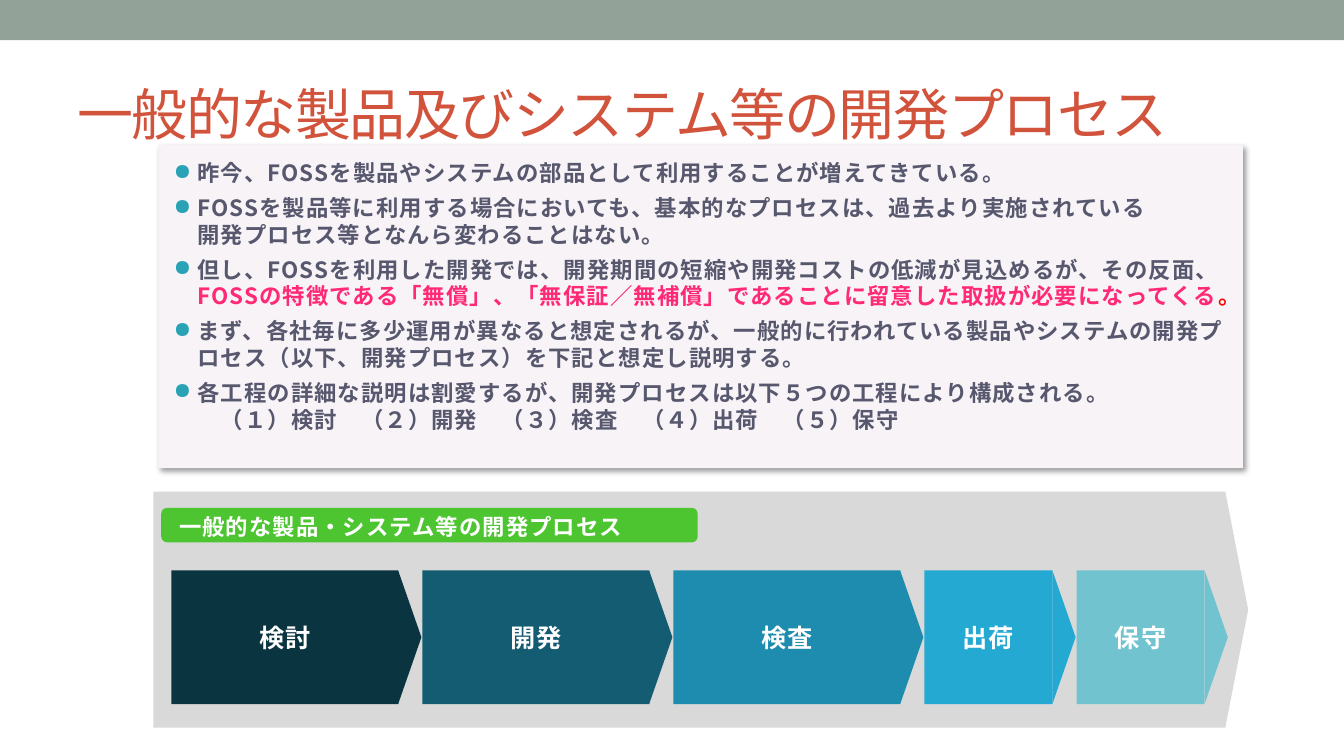
"""Build a slide on the general product and system development process."""
from lxml import etree
from pptx import Presentation
from pptx.dml.color import RGBColor
from pptx.enum.lang import MSO_LANGUAGE_ID
from pptx.enum.shapes import MSO_SHAPE
from pptx.enum.text import MSO_ANCHOR, PP_ALIGN
from pptx.oxml.ns import qn
from pptx.util import Pt

RECT, ROUNDED = MSO_SHAPE.RECTANGLE, MSO_SHAPE.ROUNDED_RECTANGLE
PENTAGON, TRIANGLE = MSO_SHAPE.PENTAGON, MSO_SHAPE.ISOSCELES_TRIANGLE
TOP, MIDDLE = MSO_ANCHOR.TOP, MSO_ANCHOR.MIDDLE
LEFT, CENTER = PP_ALIGN.LEFT, PP_ALIGN.CENTER
JAPANESE = MSO_LANGUAGE_ID.JAPANESE

SAGE = RGBColor(0x93, 0xA2, 0x99)
RUST = RGBColor(0xD2, 0x53, 0x3C)
GREY = RGBColor(0xD9, 0xD9, 0xD9)
PALE = RGBColor(0xF7, 0xF3, 0xF7)
SLATE = RGBColor(0x57, 0x57, 0x6E)
PINK = RGBColor(0xFF, 0x29, 0x75)
RED = RGBColor(0xFF, 0, 0)
GREEN = RGBColor(0x4D, 0xC5, 0x31)
WHITE = RGBColor(0xFF, 0xFF, 0xFF)
BULLET = "29A2B5"
HEAD_FONT, BODY_FONT = "Arial", "Noto Sans CJK JP"

TITLE = "一般的な製品及びシステム等の開発プロセス"
BANNER = "一般的な製品・システム等の開発プロセス"
POINTS = [
    [("昨今、FOSSを製品やシステムの部品として利用することが増えてきている。", SLATE)],
    [("FOSSを製品等に利用する場合においても、基本的なプロセスは、過去より実施されている\n"
      "開発プロセス等となんら変わることはない。", SLATE)],
    [("但し、FOSSを利用した開発では、開発期間の短縮や開発コストの低減が見込めるが、その反面、", SLATE),
     ("FOSSの特徴である「無償」、「無保証／無補償」であることに留意した取扱が必要になってくる", PINK),
     ("。", RED)],
    [("まず、各社毎に多少運用が異なると想定されるが、一般的に行われている製品やシステムの開発"
      "プロセス（以下、開発プロセス）を下記と想定し説明する。", SLATE)],
    [("各工程の詳細な説明は割愛するが、開発プロセスは以下５つの工程により構成される。\n"
      "　（１）検討　（２）開発　（３）検査　（４）出荷　（５）保守", SLATE)],
]
WIDE, NARROW = 162, 91.4
STAGES = [
    ("検討", WIDE, RGBColor(0x0B, 0x34, 0x41)),
    ("開発", WIDE, RGBColor(0x14, 0x5C, 0x72)),
    ("検査", WIDE, RGBColor(0x1E, 0x8C, 0xAE)),
    ("出荷", NARROW, RGBColor(0x24, 0xA9, 0xD2)),
    ("保守", NARROW, RGBColor(0x72, 0xC3, 0xD0)),
]
STAGE_LEFT, STAGE_TOP, STAGE_HEIGHT = 122.4, 407.5, 95.4
TIP, GAP = 16.6, 0.7


def add_block(slide, kind, left, top, width, height, color):
    block = slide.shapes.add_shape(kind, Pt(left), Pt(top), Pt(width), Pt(height))
    block.shadow.inherit = False
    block.fill.solid()
    block.fill.fore_color.rgb = color
    block.line.fill.background()
    return block


def set_frame(shape, anchor, insets):
    frame = shape.text_frame
    frame.word_wrap = True
    frame.vertical_anchor = anchor
    (frame.margin_left, frame.margin_top,
     frame.margin_right, frame.margin_bottom) = map(Pt, insets)
    return frame


def add_text(paragraph, text, size, color, font=HEAD_FONT, bold=True, spacing=80, align=LEFT):
    paragraph.alignment = align
    for index, line in enumerate(text.split("\n")):
        if index:
            paragraph.add_line_break()
        run = paragraph.add_run()
        run.text = line
        run.font.size, run.font.bold, run.font.name = Pt(size), bold, font
        run.font.color.rgb = color
        run.font.language_id = JAPANESE
        properties = run.font._element
        properties.set("spc", str(spacing))
        properties.find(qn("a:latin")).addnext(
            etree.Element(qn("a:ea"), typeface=BODY_FONT))


def add_bullet(paragraph):
    properties = paragraph._p.get_or_add_pPr()
    properties.set("marL", str(Pt(17)))
    properties.set("indent", str(-Pt(17)))
    color = etree.SubElement(properties, qn("a:buClr"))
    etree.SubElement(color, qn("a:srgbClr"), val=BULLET)
    etree.SubElement(properties, qn("a:buChar"), char="●")


def add_shadow(shape):
    effects = shape._element.spPr.find(qn("a:effectLst"))
    shadow = etree.SubElement(effects, qn("a:outerShdw"), blurRad=str(Pt(4)),
                              dist=str(Pt(3)), dir="2700000", algn="tl", rotWithShape="0")
    color = etree.SubElement(shadow, qn("a:srgbClr"), val="000000")
    etree.SubElement(color, qn("a:alpha"), val="40000")


def add_points(slide):
    box = slide.shapes.add_textbox(Pt(118), Pt(114), Pt(773.3), Pt(220))
    frame = set_frame(box, TOP, (6, 0, 11.5, 0))
    for index, runs in enumerate(POINTS):
        paragraph = frame.add_paragraph() if index else frame.paragraphs[0]
        add_bullet(paragraph)
        paragraph.line_spacing = Pt(19)
        paragraph.space_before = Pt(6 if index else 0)
        for text, color in runs:
            add_text(paragraph, text, 16, color, BODY_FONT)


def add_stages(slide):
    left = STAGE_LEFT
    for label, width, color in STAGES:
        body = add_block(slide, RECT, left, STAGE_TOP, width, STAGE_HEIGHT, color)
        frame = set_frame(body, MIDDLE, (0, 0, 0, 0))
        add_text(frame.paragraphs[0], label, 18, WHITE, align=CENTER)
        tip = add_block(slide, TRIANGLE, left + width + (TIP - STAGE_HEIGHT) / 2,
                        STAGE_TOP + (STAGE_HEIGHT - TIP) / 2, STAGE_HEIGHT, TIP, color)
        tip.rotation = 90
        left += width + TIP + GAP


def main():
    deck = Presentation()
    deck.slide_width, deck.slide_height = Pt(960), Pt(540)
    slide = deck.slides.add_slide(deck.slide_layouts[6])

    add_block(slide, RECT, 0, 0, 960, 28.8, SAGE)
    title = slide.shapes.add_textbox(Pt(48), Pt(42), Pt(864), Pt(78))
    frame = set_frame(title, MIDDLE, (7.2, 3.6, 7.2, 3.6))
    add_text(frame.paragraphs[0], TITLE, 40, RUST, bold=False, spacing=-100)

    process = add_block(slide, PENTAGON, 109.6, 351.2, 782, 168.6, GREY)
    process.adjustments[0] = 0.097
    panel = add_block(slide, RECT, 113.2, 103.5, 774.7, 231, PALE)
    add_shadow(panel)
    add_points(slide)

    banner = add_block(slide, ROUNDED, 115.2, 362.8, 383.2, 24.6, GREEN)
    frame = set_frame(banner, TOP, (11.5, 2.5, 11.5, 0))
    frame.paragraphs[0].line_spacing = Pt(19)
    add_text(frame.paragraphs[0], BANNER, 16, WHITE)
    add_stages(slide)
    deck.save("out.pptx")


if __name__ == "__main__":
    main()
